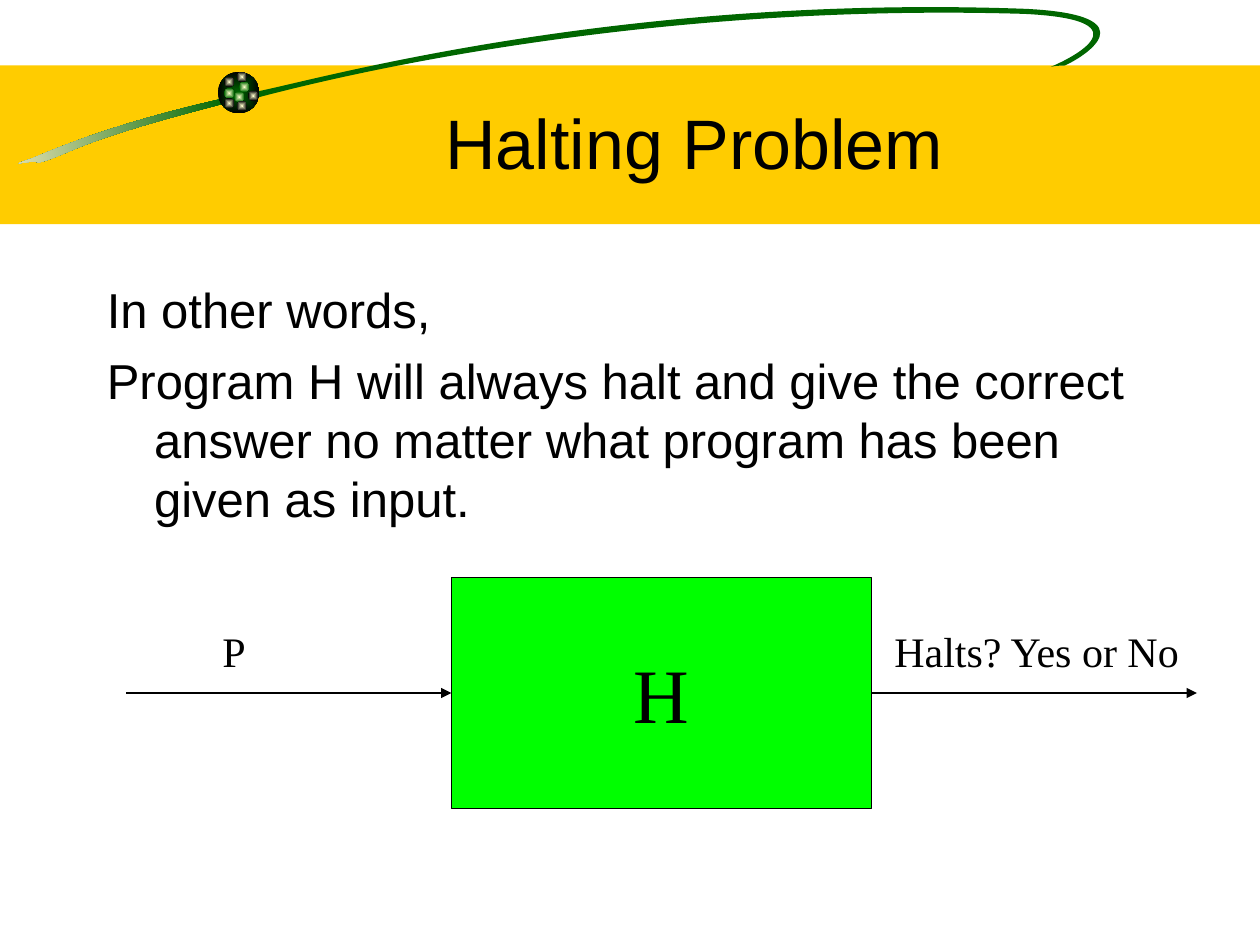
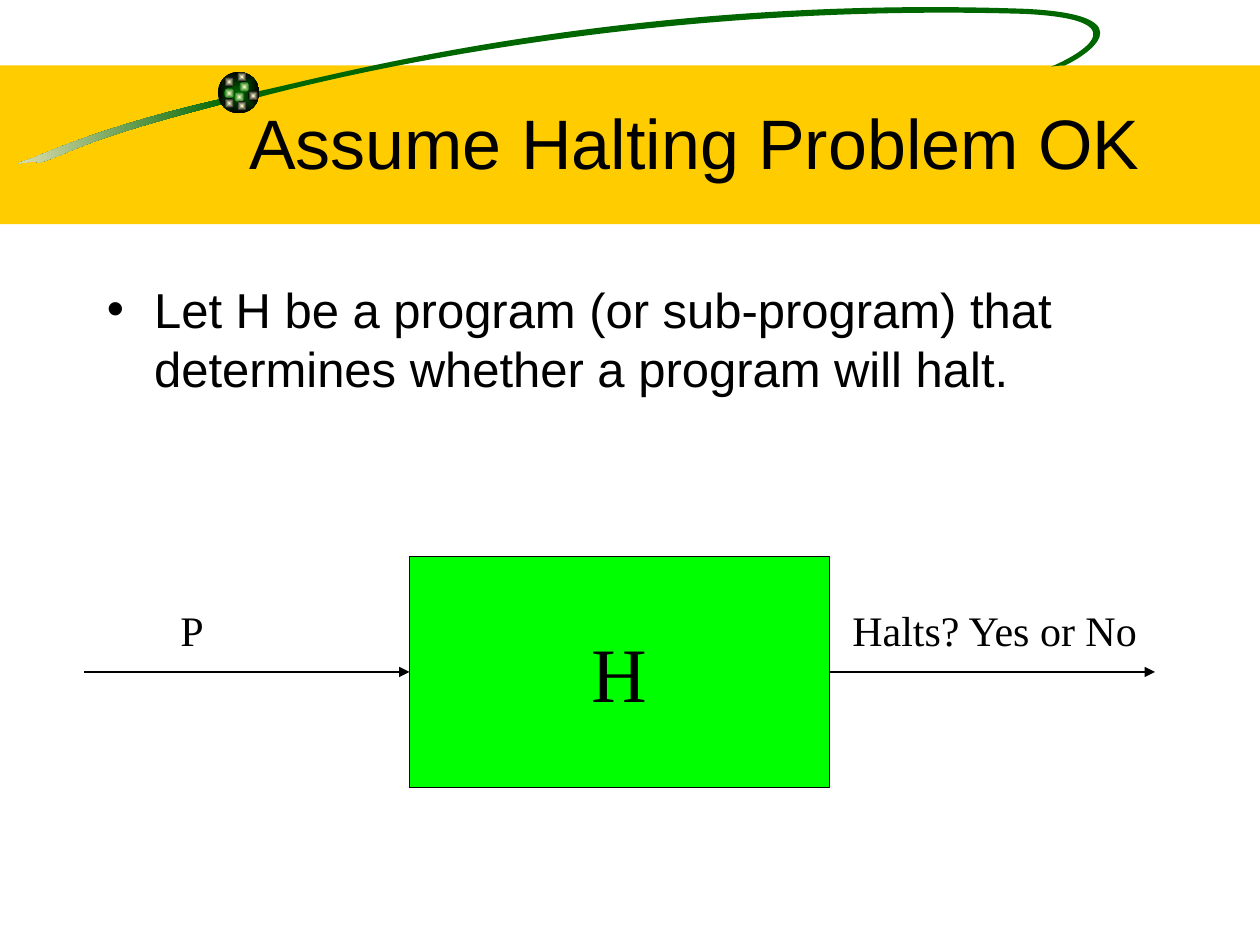
from math import cos, radians, sin

from lxml import etree
from pptx import Presentation
from pptx.dml.color import RGBColor
from pptx.enum.shapes import MSO_CONNECTOR, MSO_SHAPE
from pptx.enum.text import MSO_ANCHOR, PP_ALIGN
from pptx.oxml.ns import qn
from pptx.util import Inches, Pt

RECT, OVAL = MSO_SHAPE.RECTANGLE, MSO_SHAPE.OVAL
LINE = MSO_CONNECTOR.STRAIGHT
MIDDLE, TOP = MSO_ANCHOR.MIDDLE, MSO_ANCHOR.TOP
LEFT, CENTER = PP_ALIGN.LEFT, PP_ALIGN.CENTER

BLACK = RGBColor(0x00, 0x00, 0x00)
WHITE = RGBColor(0xFF, 0xFF, 0xFF)
GOLD = RGBColor(0xFF, 0xCC, 0x00)
GREEN = RGBColor(0x00, 0x66, 0x00)
LIME = RGBColor(0x00, 0xFF, 0x00)
CREAM = RGBColor(0xFF, 0xFF, 0xCC)
SAND = RGBColor(0xF5, 0xEB, 0xC1)

SLIDES = [
    {"title": "Halting Problem",
     "body": ["In other words,",
              "Program H will always halt and give the correct answer "
              "no matter what program has been given as input."],
     "bullet": None, "box": (43, 55)},
    {"title": "Assume Halting Problem OK",
     "body": ["Let H be a program (or sub-program) that determines "
              "whether a program will halt."],
     "bullet": "•", "box": (39, 53)},
]
INPUT, NAME, OUTPUT = "P", "H", "Halts? Yes or No"

UNIT = Inches(1) // 12
BOX_W, BOX_H, ARROW = 40, 22, 31

TITLE = {"size": Pt(40), "name": "Arial"}
BODY = {"size": Pt(28), "name": "Arial"}
LABEL = {"size": Pt(24), "name": "Times New Roman"}
BIG = {"size": Pt(44), "name": "Times New Roman"}
GAP = Pt(7)
INDENT = Inches(0.375)

TILT = 8.5
TAIL = {"frame": (-0.03, 0.91, 1.84, 0.3),
        "start": (1.78, 0.78),
        "curves": [
            [(0.91, 0.98), (0.49, 1.16), (0.25, 1.26)],
            [(0.01, 1.34), (0.26, 1.26), (0.31, 1.29)],
            [(0.57, 1.22), (0.57, 1.13), (1.79, 0.82)],
            [(1.79, 0.82), (1.78, 0.78), (1.78, 0.78)]]}
SWOOSH = {"frame": (2.01, -0.15, 7.16, 1.09),
          "start": (2.02, 0.73),
          "curves": [
              [(2.46, 0.65), (4.86, -0.05), (8.14, 0.07)],
              [(9.17, 0.12), (8.57, 0.47), (8.45, 0.52)],
              [(8.45, 0.52), (8.38, 0.52), (8.34, 0.53)],
              [(8.44, 0.49), (9.16, 0.16), (8.13, 0.11)],
              [(5.48, 0.03), (3.2, 0.47), (2.06, 0.77)],
              [(2.06, 0.77), (2.02, 0.73), (2.02, 0.73)]]}
BALL = (1.73, 0.57, 0.33)
DOT = 0.08
DOTS = [(1.9, 0.65, GREEN), (1.78, 0.61, BLACK), (1.78, 0.7, GREEN),
        (1.86, 0.73, GREEN), (1.97, 0.72, BLACK), (1.88, 0.8, BLACK),
        (1.78, 0.78, BLACK), (1.88, 0.57, BLACK)]


def style(item, values):
    for key, value in values.items():
        setattr(item, key, value)


def paint(shape, color, edge=None):
    shape.shadow.inherit = False
    shape.fill.solid()
    shape.fill.fore_color.rgb = color
    if edge is None:
        shape.line.fill.background()
    else:
        shape.line.color.rgb = edge
        shape.line.width = Pt(0.75)


def blend(shape, start, end, radial=False):
    paint(shape, start)
    shape.fill.gradient()
    shape.fill.gradient_angle = 180
    for stop, color in zip(shape.fill.gradient_stops, (start, end)):
        stop.color.rgb = color
    if radial:
        lin = next(shape._element.spPr.iter(qn("a:lin")))
        route = etree.Element(qn("a:path"), {"path": "rect"})
        sides = dict.fromkeys("ltrb", "50000")
        etree.SubElement(route, qn("a:fillToRect"), sides)
        lin.getparent().replace(lin, route)


def curve(slide, outline):
    left, top, width, height = outline["frame"]
    turn = radians(TILT)

    def local(point):
        x = point[0] - left - width / 2
        y = point[1] - top - height / 2
        return (Inches(width / 2 + x * cos(turn) - y * sin(turn)),
                Inches(height / 2 + x * sin(turn) + y * cos(turn)))

    pen = slide.shapes.build_freeform(*local(outline["start"]))
    pen.add_line_segments([local(part[-1]) for part in outline["curves"]])
    shape = pen.convert_to_shape()
    sizes = map(Inches, outline["frame"])
    style(shape, dict(zip(("left", "top", "width", "height"), sizes)))
    shape.rotation = 360 - TILT
    route = next(shape._element.spPr.iter(qn("a:path")))
    route.set("w", str(Inches(width)))
    route.set("h", str(Inches(height)))
    for node in list(route):
        route.remove(node)
    steps = [("a:moveTo", [outline["start"]])]
    steps += [("a:cubicBezTo", part) for part in outline["curves"]]
    for tag, points in steps:
        step = etree.SubElement(route, qn(tag))
        for x, y in map(local, points):
            etree.SubElement(step, qn("a:pt"), {"x": str(x), "y": str(y)})
    etree.SubElement(route, qn("a:close"))
    return shape


def orb(slide, left, top, size, start, end):
    ball = slide.shapes.add_shape(OVAL, *map(Inches, (left, top, size, size)))
    blend(ball, start, end, radial=True)


def backdrop(slide, width):
    band = slide.shapes.add_shape(RECT, 0, Inches(0.52), width, Inches(1.26))
    paint(band, GOLD)
    blend(curve(slide, TAIL), GREEN, SAND)
    paint(curve(slide, SWOOSH), GREEN)
    orb(slide, *BALL, GREEN, BLACK)
    for left, top, edge in DOTS:
        orb(slide, left, top, DOT, CREAM, edge)
    veil = slide.shapes.add_shape(RECT, *map(Inches, (0.74, 2.06, 1.22, 5.44)))
    paint(veil, WHITE)
    tint = next(veil._element.spPr.iter(qn("a:srgbClr")))
    etree.SubElement(tint, qn("a:alpha"), {"val": "50000"})


def write(shape, lines, font, align=LEFT, anchor=TOP, wrap=True):
    frame = shape.text_frame
    style(frame, {"word_wrap": wrap, "vertical_anchor": anchor})
    frame.text = "\n".join(lines)
    for para in frame.paragraphs:
        para.alignment = align
        for run in para.runs:
            style(run.font, font)
            run.font.color.rgb = BLACK
    return frame.paragraphs


def listing(slide, lines, bullet):
    area = slide.shapes.add_textbox(*map(Inches, (0.75, 2.17, 8.5, 4.5)))
    for place, para in enumerate(write(area, lines, BODY)):
        props = para._p.get_or_add_pPr()
        props.set("marL", str(INDENT))
        props.set("indent", str(-INDENT))
        if bullet:
            etree.SubElement(props, qn("a:buFont"), {"typeface": "Arial"})
            etree.SubElement(props, qn("a:buChar"), {"char": bullet})
        para.space_before = GAP if place else Pt(0)


def cells(*counts):
    return [count * UNIT for count in counts]


def arrow(slide, left, level):
    link = slide.shapes.add_connector(
        LINE, *cells(left, level, left + ARROW, level))
    link.line.color.rgb = BLACK
    link.line.width = Pt(0.75)
    etree.SubElement(link.line._get_or_add_ln(), qn("a:tailEnd"),
                     {"type": "triangle"})
    etree.SubElement(link._element.spPr, qn("a:effectLst"))


def diagram(slide, left, top):
    right, level = left + BOX_W, top + BOX_H // 2
    box = slide.shapes.add_shape(RECT, *cells(left, top, BOX_W, BOX_H))
    paint(box, LIME, BLACK)
    write(box, [NAME], BIG, CENTER, MIDDLE, wrap=False)
    labels = [(INPUT, left - 23, 16, left - ARROW, True),
              (OUTPUT, right + 1, 30, right, False)]
    for text, start, width, tail, wrap in labels:
        arrow(slide, tail, level)
        label = slide.shapes.add_textbox(*cells(start, level - 7, width, 6))
        write(label, [text], LABEL, wrap=wrap)


def main():
    deck = Presentation()
    deck.slide_width, deck.slide_height = Inches(10), Inches(7.5)
    for page in SLIDES:
        slide = deck.slides.add_slide(deck.slide_layouts[6])
        backdrop(slide, deck.slide_width)
        head = slide.shapes.add_textbox(*map(Inches, (1.26, 0.5, 8.5, 1.25)))
        write(head, [page["title"]], TITLE, CENTER, MIDDLE)
        listing(slide, page["body"], page["bullet"])
        diagram(slide, *page["box"])
    deck.save("out.pptx")


if __name__ == "__main__":
    main()
